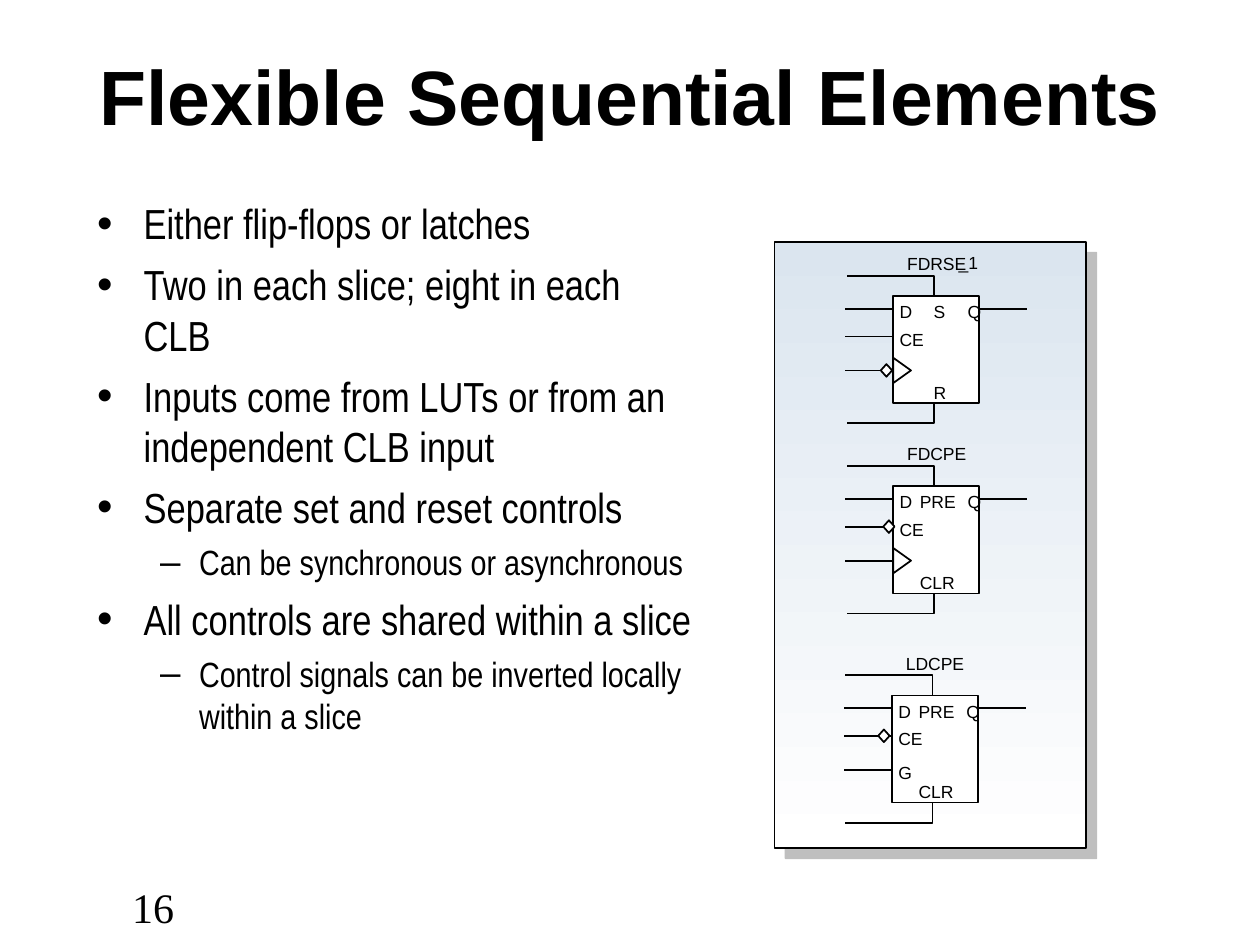
from lxml import etree
from pptx import Presentation
from pptx.dml.color import RGBColor
from pptx.enum.shapes import MSO_CONNECTOR, MSO_SHAPE
from pptx.enum.text import MSO_ANCHOR, MSO_AUTO_SIZE, PP_ALIGN
from pptx.oxml import parse_xml
from pptx.oxml.ns import nsdecls, qn
from pptx.util import Inches, Pt

RECTANGLE, TRIANGLE, DIAMOND = (
    MSO_SHAPE.RECTANGLE, MSO_SHAPE.ISOSCELES_TRIANGLE, MSO_SHAPE.DIAMOND)
STRAIGHT = MSO_CONNECTOR.STRAIGHT
MIDDLE, TOP = MSO_ANCHOR.MIDDLE, MSO_ANCHOR.TOP
CENTER, LEFT = PP_ALIGN.CENTER, PP_ALIGN.LEFT
NO_AUTOFIT = MSO_AUTO_SIZE.NONE

BLACK, WHITE, PALE_BLUE = "000000", "FFFFFF", "DBE5EF"
TITLE_BOX = (0.67, 0.21, 8.67, 1.08)
BODY_BOX = (0.67, 1.52, 4.92, 4.92)
PANEL_BOX = (6.15, 1.92, 2.47, 4.81)
NUMBER_BOX = (0.95, 6.95, 2.41, 0.23)

LEVELS = [
    dict(size=24, before=6, bullet="•", left=0.37, hang=0.37),
    dict(size=20, before=5, bullet="–", left=0.81, hang=0.31),
]
POINTS = [
    (0, "Either flip-flops or latches"),
    (0, "Two in each slice; eight in each CLB"),
    (0, "Inputs come from LUTs or from an independent CLB input"),
    (0, "Separate set and reset controls"),
    (1, "Can be synchronous or asynchronous"),
    (0, "All controls are shared within a slice"),
    (1, "Control signals can be inverted locally within a slice"),
]

# Flip-flop geometry, relative to the top left corner of its body
BODY_WIDTH, BODY_HEIGHT = 0.68, 0.85
WIRE, STUB, CONTROL_X = 0.38, 0.16, 0.32
DATA_Y, ENABLE_Y, CLOCK_Y = 0.1, 0.32, 0.59
LABEL_HEIGHT, LABEL_X, LOW_LABEL_Y = 0.24, -0.02, 0.64

# Corner of each body relative to the panel, then what differs between them
FLIP_FLOPS = [
    dict(corner=(0.94, 0.43), name="FDRSE", controls=("S", "R"), control_x=0.25,
         bubble=(-0.1, 0.54), clocked=True),
    dict(corner=(0.94, 1.94), name="FDCPE", controls=("PRE", "CLR"), control_x=0.14,
         bubble=(-0.08, 0.27), clocked=True),
    dict(corner=(0.93, 3.6), name="LDCPE", controls=("PRE", "CLR"), control_x=0.14,
         bubble=(-0.11, 0.27), clocked=False),
]


def color(value):
    return RGBColor.from_string(value)


def inches(values):
    return [Inches(value) for value in values]


def set_font(font, **values):
    font.color.rgb = color(BLACK)
    for key, value in values.items():
        setattr(font, key, value)


def set_frame(frame, **values):
    """Apply margins, wrapping, anchor and fit to a text frame."""
    settings = dict(margin_left=Inches(0.1), margin_right=Inches(0.1),
                    margin_top=Inches(0.05), margin_bottom=Inches(0.05),
                    word_wrap=True, vertical_anchor=TOP, auto_size=NO_AUTOFIT)
    for key, value in {**settings, **values}.items():
        setattr(frame, key, value)


def set_place(shape, box):
    for key, value in zip(("left", "top", "width", "height"), inches(box)):
        setattr(shape, key, value)


def outline(shape, width=1):
    shape.line.color.rgb = color(BLACK)
    shape.line.width = Pt(width)


def add_preset(shapes, kind, box, fill=None):
    shape = shapes.add_shape(kind, *inches(box))
    shape.shadow.inherit = False
    if fill:
        shape.fill.solid()
        shape.fill.fore_color.rgb = color(fill)
    else:
        shape.fill.background()
    outline(shape)
    return shape


def add_label(shapes, left, top, text, side=0.07, upper=0.04):
    width = 2 * side + 0.01 + 0.09 * len(text)
    label = shapes.add_textbox(*inches((left, top, width, LABEL_HEIGHT)))
    set_frame(label.text_frame, word_wrap=False,
              margin_left=Inches(side), margin_right=Inches(side),
              margin_top=Inches(upper), margin_bottom=Inches(upper))
    para = label.text_frame.paragraphs[0]
    para.text = text
    set_font(para.font, name="Arial", size=Pt(10))


def add_wire(shapes, left, y):
    wire = shapes.add_connector(STRAIGHT, *inches((left, y, left + WIRE, y)))
    outline(wire)
    etree.SubElement(wire._element.spPr, qn("a:effectLst"))


def add_control_line(shapes, left, edge, end):
    """Draw the bent line from the body edge out to the left."""
    x, tip = left + CONTROL_X, left - WIRE + 0.01
    builder = shapes.build_freeform(Inches(x), Inches(edge))
    builder.add_line_segments([inches((x, end)), inches((tip, end))], close=False)
    line = builder.convert_to_shape()
    line.shadow.inherit = False
    line.fill.background()
    outline(line)


def add_flip_flop(shapes, left, top, name, controls, control_x, bubble, clocked):
    bottom = top + BODY_HEIGHT
    add_preset(shapes, RECTANGLE, (left, top, BODY_WIDTH, BODY_HEIGHT), WHITE)
    for y in (DATA_Y, ENABLE_Y, CLOCK_Y):
        add_wire(shapes, left - WIRE, top + y)
    add_wire(shapes, left + BODY_WIDTH, top + DATA_Y)
    add_control_line(shapes, left, top, top - STUB)
    add_control_line(shapes, left, bottom, bottom + STUB)

    labels = [(LABEL_X, 0, "D"), (LABEL_X, 0.22, "CE"), (0.52, 0, "Q"),
              (control_x, 0, controls[0]), (control_x, LOW_LABEL_Y, controls[1]),
              (0.04, -0.38, name)]
    if clocked:
        clock = add_preset(shapes, TRIANGLE, (left - 0.03, top + 0.52, 0.2, 0.14))
        clock.rotation = 90
    else:
        labels.append((LABEL_X, 0.49, "G"))
    for x, y, text in labels:
        add_label(shapes, left + x, top + y, text)
    add_preset(shapes, DIAMOND, (left + bubble[0], top + bubble[1], 0.09, 0.1), WHITE)


def add_panel(page, box):
    shapes = page.shapes.add_group_shape().shapes
    panel = add_preset(shapes, RECTANGLE, box)
    outline(panel, 0.75)
    panel.fill.gradient()
    panel.fill.gradient_angle = 270
    for stop, value in zip(panel.fill.gradient_stops, (PALE_BLUE, WHITE)):
        stop.color.rgb = color(value)
    panel._element.spPr.find(qn("a:effectLst")).append(parse_xml(
        f'<a:outerShdw {nsdecls("a")} blurRad="0" dist="{Pt(8.5)}" dir="2700000" '
        'algn="ctr" rotWithShape="0"><a:srgbClr val="808080">'
        '<a:alpha val="50000"/></a:srgbClr></a:outerShdw>'))
    for flip_flop in FLIP_FLOPS:
        parts = dict(flip_flop)
        x, y = parts.pop("corner")
        add_flip_flop(shapes, box[0] + x, box[1] + y, **parts)
    add_label(shapes, box[0] + 1.36, box[1] + 0.03, "_1", side=0.1, upper=0.05)


def fill_title(page, box):
    title = page.shapes.title
    set_place(title, box)
    set_frame(title.text_frame, vertical_anchor=MIDDLE)
    para = title.text_frame.paragraphs[0]
    para.text = "Flexible Sequential Elements"
    para.alignment = CENTER
    set_font(para.font, name="Arial", size=Pt(44), bold=True)


def add_bullet(para, level):
    properties = para._p.get_or_add_pPr()
    properties.set("marL", str(Inches(level["left"])))
    properties.set("indent", str(-Inches(level["hang"])))
    tint = etree.SubElement(properties, qn("a:buClr"))
    etree.SubElement(tint, qn("a:srgbClr"), val=BLACK)
    etree.SubElement(properties, qn("a:buSzPct"), val="105000")
    etree.SubElement(properties, qn("a:buChar"), char=level["bullet"])


def fill_body(page, box):
    body = page.placeholders[1]
    set_place(body, box)
    frame = body.text_frame
    set_frame(frame)
    for index, (depth, text) in enumerate(POINTS):
        para = frame.add_paragraph() if index else frame.paragraphs[0]
        level = LEVELS[depth]
        para.text, para.level, para.alignment = text, depth, LEFT
        para.space_before = Pt(level["before"] if index else 0)
        add_bullet(para, level)
        set_font(para.font, name="Arial Narrow", size=Pt(level["size"]))


def add_page_number(page, box):
    number = page.shapes.add_textbox(*inches(box))
    set_frame(number.text_frame)
    para = number.text_frame.paragraphs[0]
    para.text = "16"
    set_font(para.font, name="Times New Roman", size=Pt(24))


def main():
    deck = Presentation()
    deck.slide_width, deck.slide_height = inches((10, 7.5))
    page = deck.slides.add_slide(deck.slide_layouts[1])
    add_panel(page, PANEL_BOX)
    fill_title(page, TITLE_BOX)
    fill_body(page, BODY_BOX)
    add_page_number(page, NUMBER_BOX)
    deck.save("out.pptx")


if __name__ == "__main__":
    main()
